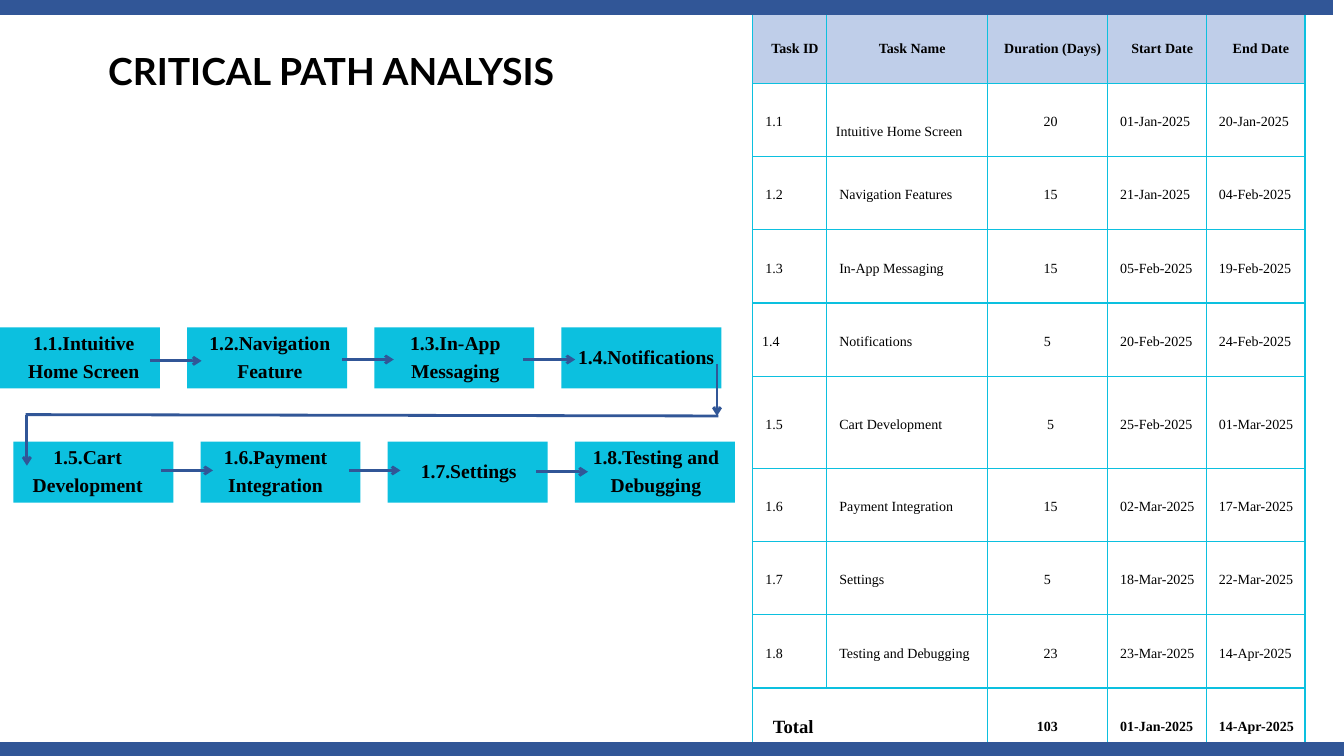
import pptx
import pptx.util
import pptx.dml.color
import pptx.enum.shapes
import pptx.enum.text
import pptx.oxml
import pptx.oxml.ns
import lxml.etree

Inches = pptx.util.Inches
Pt = pptx.util.Pt
RGB = pptx.dml.color.RGBColor.from_string
ALIGN = pptx.enum.text.PP_ALIGN
MIDDLE = pptx.enum.text.MSO_ANCHOR.MIDDLE
qn = pptx.oxml.ns.qn

COLORS = {"cyan": "0CC0DF", "blue": "315697", "header": "BFCEE9", "text": "000000"}
SERIF = "Times New Roman"


def style_text(tf, font, size, spacing, align, bold):
    for p in tf.paragraphs:
        p.alignment = align
        p.line_spacing = Pt(spacing)
        for r in p.runs:
            r.font.name = font
            r.font.size = Pt(size)
            r.font.bold = bold
            r.font.color.rgb = RGB(COLORS["text"])


def add_line(x1, y1, x2, y2, width=3, arrow=True):
    line = slide.shapes.add_connector(
        pptx.enum.shapes.MSO_CONNECTOR.STRAIGHT,
        Inches(x1), Inches(y1), Inches(x2), Inches(y2))
    line.line.color.rgb = RGB(COLORS["blue"])
    line.line.width = Pt(width)
    if arrow:
        ln = line.line._get_or_add_ln()
        lxml.etree.SubElement(ln, qn("a:tailEnd"), type="arrow")
    lxml.etree.SubElement(line._element.spPr, qn("a:effectLst"))


prs = pptx.Presentation()
prs.slide_width = Inches(20)
prs.slide_height = Inches(11.25)
slide = prs.slides.add_slide(prs.slide_layouts[5])

title = slide.shapes.title
title.left, title.top = Inches(1.61), Inches(0.77)
title.width, title.height = Inches(8.57), Inches(0.63)
tf = title.text_frame
tf.text = "CRITICAL PATH ANALYSIS"
tf.margin_left = tf.margin_right = tf.margin_top = tf.margin_bottom = 0
tf.vertical_anchor = pptx.enum.text.MSO_ANCHOR.TOP
tf.auto_size = pptx.enum.text.MSO_AUTO_SIZE.NONE
style_text(tf, "Lato", 40, 44, ALIGN.LEFT, True)

rows = [
    ("Task ID", "Task Name", "Duration (Days)", "Start Date", "End Date"),
    ("1.1", "Intuitive Home Screen", "20", "01-Jan-2025", "20-Jan-2025"),
    ("1.2", "Navigation Features", "15", "21-Jan-2025", "04-Feb-2025"),
    ("1.3", "In-App Messaging", "15", "05-Feb-2025", "19-Feb-2025"),
    ("1.4", "Notifications", "5", "20-Feb-2025", "24-Feb-2025"),
    ("1.5", "Cart Development", "5", "25-Feb-2025", "01-Mar-2025"),
    ("1.6", "Payment Integration", "15", "02-Mar-2025", "17-Mar-2025"),
    ("1.7", "Settings", "5", "18-Mar-2025", "22-Mar-2025"),
    ("1.8", "Testing and Debugging", "23", "23-Mar-2025", "14-Apr-2025"),
    ("Total", "", "103", "01-Jan-2025", "14-Apr-2025"),
]
left_margins = {(1, 1): 0.14, (4, 0): 0.14, (4, 2): 0.09, (7, 2): 0.09,
                (9, 0): 0.3, (9, 2): 0.09}
last = len(rows) - 1

table = slide.shapes.add_table(
    len(rows), 5, Inches(11.2), Inches(0.15), Inches(8.22), Inches(11.14)).table
table.first_row = False
table.horz_banding = False
for column, width in zip(table.columns, (1.1, 2.39, 1.79, 1.47, 1.47)):
    column.width = Inches(width)
for i, row in enumerate(table.rows):
    row.height = Inches(1.37 if i == 5 else 1.09)
table.cell(last, 0).merge(table.cell(last, 1))

for i, values in enumerate(rows):
    for j, value in enumerate(values):
        cell = table.cell(i, j)
        cell.vertical_anchor = MIDDLE
        cell.margin_left = Inches(left_margins.get((i, j), 0.21 if i == 0 else 0.19))
        cell.margin_right = Inches(0.05 if i == 0 else 0.09)
        cell.margin_top = Inches(0.38 if (i, j) == (1, 1) else 0.09)
        cell.margin_bottom = Inches(0.09)
        tcPr = cell._tc.get_or_add_tcPr()
        for side in ("lnL", "lnR", "lnT", "lnB"):
            ln = lxml.etree.SubElement(tcPr, qn("a:" + side), w=str(Pt(1.5)))
            fill = lxml.etree.SubElement(ln, qn("a:solidFill"))
            lxml.etree.SubElement(fill, qn("a:srgbClr"), val=COLORS["cyan"])
        if i == 0:
            cell.fill.solid()
            cell.fill.fore_color.rgb = RGB(COLORS["header"])
        else:
            cell.fill.background()
        if value:
            cell.text_frame.text = value
            size, spacing = (20, 28) if value == "Total" else (15, 21)
            align = ALIGN.CENTER if i == 0 or j == 2 else ALIGN.LEFT
            style_text(cell.text_frame, SERIF, size, spacing, align, i in (0, last))

add_line(0, 11.16, 20, 11.16, 16.5, False)
add_line(-0.17, 0.11, 19.83, 0.11, 16.5, False)

box_w, box_h, step = 2.38, 0.91, 2.785
task_rows = [
    (0, 4.87, [("1.1.Intuitive Home Screen", 0.41, 1.67),
               ("1.2.Navigation Feature", 0.22, 2.02),
               ("1.3.In-App Messaging", 0.37, 1.67),
               ("1.4.Notifications", 0.18, 2.16)]),
    (0.2, 6.57, [("1.5.Cart Development", 0.27, 1.67),
                 ("1.6.Payment Integration", 0.28, 1.67),
                 ("1.7.Settings", 0.37, 1.67),
                 ("1.8.Testing and Debugging", 0.09, 2.23)]),
]
for x, y, tasks in task_rows:
    for i, (label, inset, text_w) in enumerate(tasks):
        sp = slide.shapes.add_shape(
            pptx.enum.shapes.MSO_SHAPE.RECTANGLE,
            Inches(x + i * step), Inches(y), Inches(box_w), Inches(box_h))
        sp.shadow.inherit = False
        sp.fill.solid()
        sp.fill.fore_color.rgb = RGB(COLORS["cyan"])
        sp.line.fill.background()
        tf = sp.text_frame
        tf.text = label
        tf.word_wrap = True
        tf.vertical_anchor = MIDDLE
        tf.margin_left = Inches(inset)
        tf.margin_right = Inches(box_w - inset - text_w)
        tf.margin_top = 0
        tf.margin_bottom = Inches(0.1)
        style_text(tf, SERIF, 21, 29.4, ALIGN.CENTER, True)

for x, y in [(2.23, 5.37), (5.09, 5.35), (7.79, 5.35),
             (2.4, 7), (5.19, 7), (7.98, 7.02)]:
    add_line(x, y, x + 0.77, y)
add_line(10.67, 5.42, 10.67, 6.19)
add_line(0.38, 6.17, 10.69, 6.19, arrow=False)
add_line(0.4, 6.17, 0.4, 6.93)

prs.save("out.pptx")
